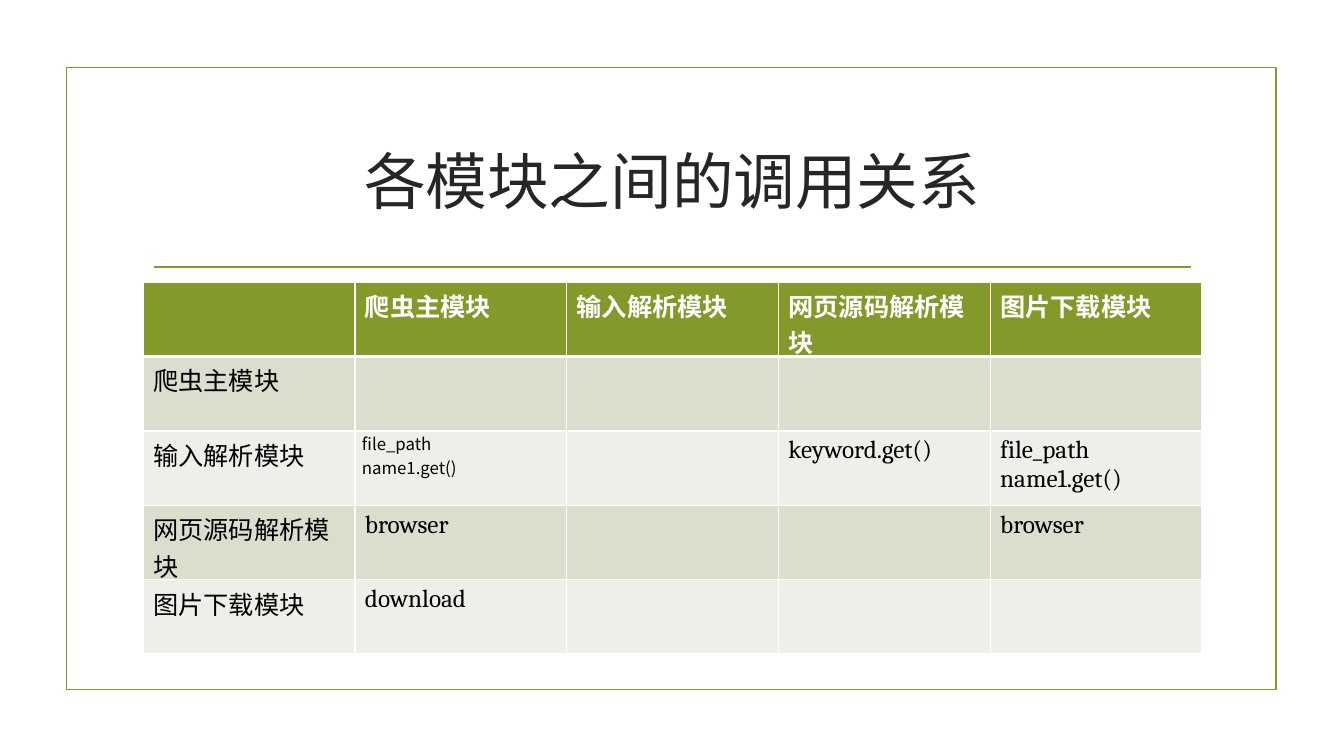
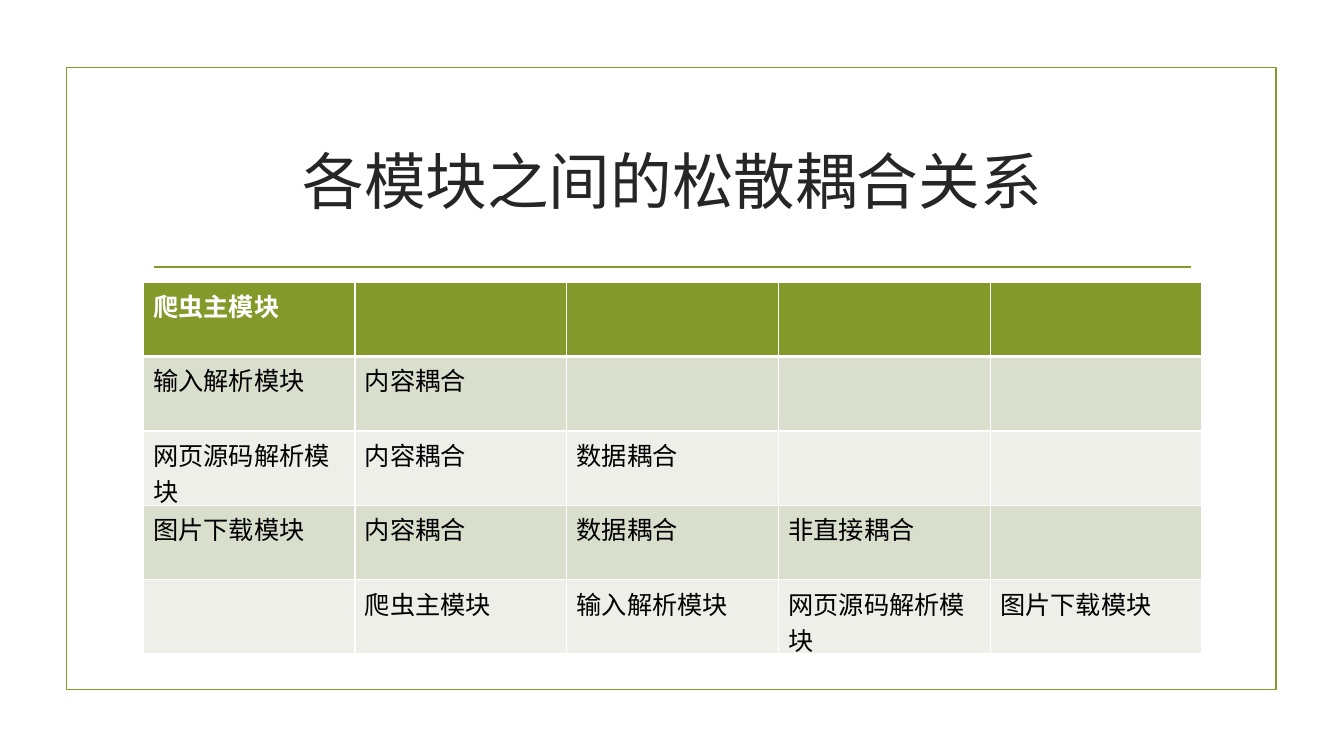
from dataclasses import dataclass

from lxml import etree
from pptx import Presentation
from pptx.dml.color import RGBColor
from pptx.enum.shapes import MSO_CONNECTOR, MSO_SHAPE
from pptx.enum.text import MSO_ANCHOR, PP_ALIGN
from pptx.oxml import parse_xml
from pptx.oxml.ns import nsdecls, qn
from pptx.util import Inches, Pt

RECT = MSO_SHAPE.RECTANGLE
STRAIGHT = MSO_CONNECTOR.STRAIGHT
CENTER = PP_ALIGN.CENTER
MIDDLE = MSO_ANCHOR.MIDDLE


@dataclass(frozen=True)
class Theme:
    """Colours, fonts and sizes shared by the slides."""
    green: RGBColor = RGBColor(0x83, 0x99, 0x2A)
    title: RGBColor = RGBColor(0x26, 0x26, 0x26)
    black: RGBColor = RGBColor(0, 0, 0)
    white: RGBColor = RGBColor(0xFF, 0xFF, 0xFF)
    bands: tuple = (RGBColor(0xED, 0xEF, 0xE8), RGBColor(0xD9, 0xDE, 0xCD))
    font: str = "Cambria"
    small_font: str = "Noto Sans CJK SC"
    title_size: int = 44
    cell_size: int = 18
    small_size: int = 12
    line: float = 1.25
    border: int = 1
    header_border: int = 3


T = Theme()


def write(tf, text, size=T.cell_size, font=T.font, color=T.black, bold=False, align=None):
    """Fill a text frame, one paragraph for each line of text."""
    for i, line in enumerate(text.split("\n")):
        p = tf.paragraphs[0] if i == 0 else tf.add_paragraph()
        p.alignment = align
        r = p.add_run()
        r.text = line
        r.font.size, r.font.name, r.font.bold = Pt(size), font, bold
        r.font.color.rgb = color


def set_borders(cell, top, bottom):
    """Give a cell white borders; top and bottom are widths in points."""
    tc_pr = cell._tc.get_or_add_tcPr()
    for side, width in (("L", T.border), ("R", T.border), ("T", top), ("B", bottom)):
        tc_pr.append(parse_xml(
            f'<a:ln{side} {nsdecls("a")} w="{Pt(width)}"><a:solidFill>'
            f'<a:srgbClr val="{T.white}"/></a:solidFill></a:ln{side}>'))


MAIN, INPUT, SOURCE, DOWNLOAD = modules = [
    "爬虫主模块", "输入解析模块", "网页源码解析模块", "图片下载模块"]
CONTENT, DATA, INDIRECT = "内容耦合", "数据耦合", "非直接耦合"
NAMES = "file_path\nname1.get()"

slides = [
    ("各模块之间的调用关系", [
        ["", *modules],
        [MAIN, "", "", "", ""],
        [INPUT, NAMES, "", "keyword.get()", NAMES],
        [SOURCE, "browser", "", "", "browser"],
        [DOWNLOAD, "download", "", "", ""],
    ], {(2, 1)}),
    ("各模块之间的松散耦合关系", [
        [MAIN, "", "", "", ""],
        [INPUT, CONTENT, "", "", ""],
        [SOURCE, CONTENT, DATA, "", ""],
        [DOWNLOAD, CONTENT, DATA, INDIRECT, ""],
        ["", *modules],
    ], set()),
]

prs = Presentation()
prs.slide_width, prs.slide_height = Inches(13.33), Inches(7.5)
blank = prs.slide_layouts[6]

for title, rows, small_cells in slides:
    s = prs.slides.add_slide(blank)

    frame = s.shapes.add_shape(RECT, Inches(0.66), Inches(0.67), Inches(12), Inches(6.17))
    frame.shadow.inherit = False
    frame.fill.background()

    rule = s.shapes.add_connector(
        STRAIGHT, Inches(1.53), Inches(2.65), Inches(11.81), Inches(2.65))
    etree.SubElement(rule._element.spPr, qn("a:effectLst"))
    for sp in (frame, rule):
        sp.line.color.rgb = T.green
        sp.line.width = Pt(T.line)

    tf = s.shapes.add_textbox(
        Inches(1.42), Inches(1.07), Inches(10.5), Inches(1.43)).text_frame
    tf.word_wrap = True
    tf.vertical_anchor = MIDDLE
    write(tf, title, size=T.title_size, color=T.title, align=CENTER)

    table = s.shapes.add_table(
        len(rows), len(rows[0]), Inches(1.42), Inches(2.8), Inches(10.5), Inches(3.69)).table
    for i, row in enumerate(rows):
        header = i == 0
        for j, text in enumerate(row):
            cell = table.cell(i, j)
            set_borders(cell, top=T.header_border if i == 1 else T.border,
                        bottom=T.header_border if header else T.border)
            cell.fill.solid()
            cell.fill.fore_color.rgb = T.green if header else T.bands[i % 2]
            if (i, j) in small_cells:
                cell.margin_left = cell.margin_right = Inches(0.07)
                cell.margin_top = cell.margin_bottom = 0
                write(cell.text_frame, text, size=T.small_size, font=T.small_font)
            elif text:
                write(cell.text_frame, text, color=T.white if header else T.black, bold=header)

prs.save("out.pptx")
